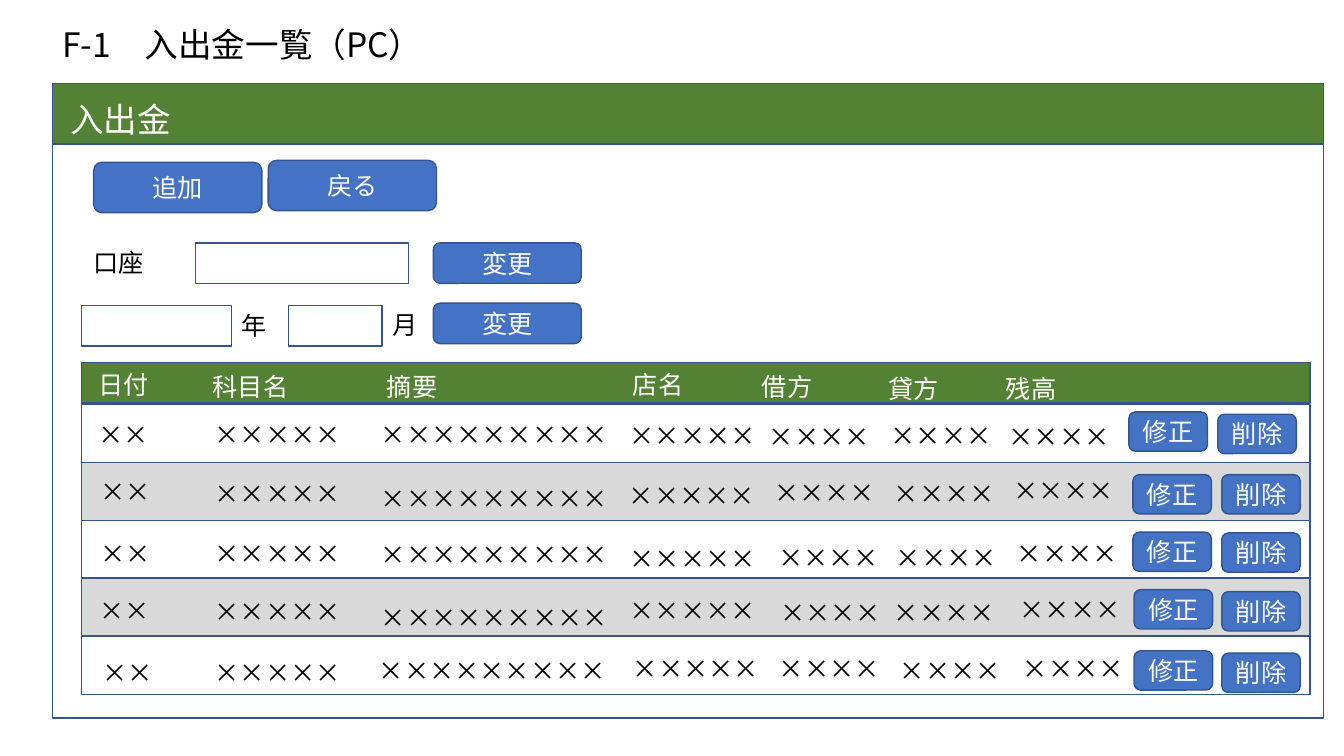
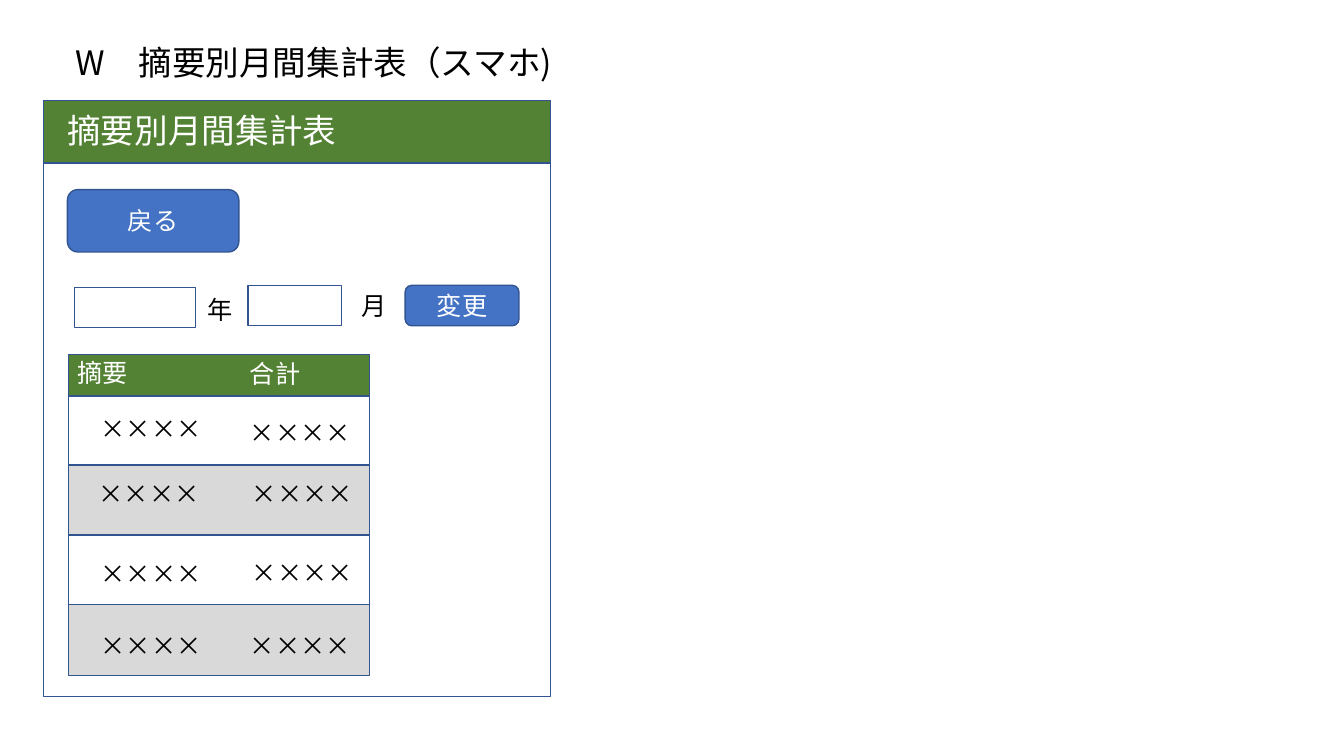
from collections import namedtuple
from lxml.etree import SubElement
from pptx import Presentation
from pptx.dml.color import RGBColor
from pptx.enum.shapes import MSO_SHAPE
from pptx.enum.text import MSO_ANCHOR, MSO_AUTO_SIZE, PP_ALIGN
from pptx.oxml.ns import qn
from pptx.util import Cm, Pt

FONT = "Noto Sans CJK JP"
GREEN, BLUE, GREY = "548235", "4472C4", "D9D9D9"
EDGE, BLACK, WHITE = "325491", "000000", "FFFFFF"
TITLE_SIZE, BODY_SIZE = 24, 18
LINE_HEIGHT, TITLE_HEIGHT = 1.02, 1.28

Box = namedtuple("Box", "left top width height")
Column = namedtuple("Column", "heading heading_at mark width places")
Grid = namedtuple("Grid", "head first pitch row heading_width")


def color(value):
    return RGBColor.from_string(value)


def inside(box, left, top, width, height=LINE_HEIGHT):
    return Box(box.left + left, box.top + top, width, height)


def lengths(box):
    return [Cm(round(value, 2)) for value in box]


def write(frame, words, size, ink):
    frame.word_wrap = True
    para = frame.paragraphs[0]
    span = para.add_run()
    span.text = words
    span.font.name = FONT
    span.font.size = Pt(size)
    span.font.color.rgb = color(ink)
    SubElement(span.font._element, qn("a:ea")).set("typeface", FONT)
    return para


def add_label(page, box, words, size=BODY_SIZE, ink=BLACK):
    frame = page.shapes.add_textbox(*lengths(box)).text_frame
    write(frame, words, size, ink)
    frame.auto_size = MSO_AUTO_SIZE.SHAPE_TO_FIT_TEXT


def add_panel(page, box, fill=None, kind=MSO_SHAPE.RECTANGLE):
    panel = page.shapes.add_shape(kind, *lengths(box))
    panel.shadow.inherit = False
    if fill:
        panel.fill.solid()
        panel.fill.fore_color.rgb = color(fill)
    else:
        panel.fill.background()
    panel.line.color.rgb = color(EDGE)
    panel.line.width = Pt(1)
    return panel


def add_button(page, box, words):
    button = add_panel(page, box, BLUE, MSO_SHAPE.ROUNDED_RECTANGLE)
    button.text_frame.vertical_anchor = MSO_ANCHOR.MIDDLE
    para = write(button.text_frame, words, BODY_SIZE, WHITE)
    para.alignment = PP_ALIGN.CENTER


def add_title(page, box, words):
    add_label(page, box, words, TITLE_SIZE)


def add_window(page, box, band_height, heading, heading_box):
    add_panel(page, box)
    add_panel(page, box._replace(height=band_height), GREEN)
    add_label(page, inside(box, *heading_box), heading, TITLE_SIZE, WHITE)


def add_list(page, box, grid, count, columns, buttons=()):
    add_panel(page, box._replace(height=grid.head), GREEN)
    rows = [inside(box, 0, grid.first + index * grid.pitch, box.width, grid.row)
            for index in range(count)]
    for index, row in enumerate(rows):
        add_panel(page, row, GREY if index % 2 else None)
    for column in columns:
        add_label(page, inside(box, *column.heading_at, grid.heading_width),
                  column.heading, ink=WHITE)
        for row, place in zip(rows, column.places):
            add_label(page, inside(row, *place, column.width), column.mark)
    for words, places in buttons:
        for row, place in zip(rows, places):
            add_button(page, inside(row, *place, 1.98, 0.99), words)


def add_account_filter(page, box):
    add_label(page, inside(box, 0.05, 0, 2.82), "口座")
    add_panel(page, inside(box, 2.87, 0, 5.36))
    add_button(page, inside(box, 8.86, 0, 3.73), "変更")


def add_month_filter(page, box, year, year_mark, month, month_mark, change):
    add_panel(page, inside(box, *year))
    add_label(page, inside(box, *year_mark), "年")
    add_panel(page, inside(box, *month))
    add_label(page, inside(box, *month_mark), "月")
    add_button(page, inside(box, *change), "変更")


def build_ledger(page):
    add_title(page, Box(1.32, 0.48, 20.19, TITLE_HEIGHT), "F-1　入出金一覧（PC）")
    window = Box(1.32, 2.11, 32.03, 15.98)
    add_window(page, window, 1.52, "入出金", (0.2, 0.25, 6.45, TITLE_HEIGHT))
    add_button(page, inside(window, 1.04, 1.98, 4.24, 1.27), "追加")
    add_button(page, inside(window, 5.44, 1.93, 4.24, 1.27), "戻る")
    add_account_filter(page, inside(window, 0.74, 4.01, 12.6))
    add_month_filter(page, inside(window, 0.74, 5.56, 12.6),
                     (0, 0.03, 3.78), (3.78, 0.03, 1.42), (5.21, 0.03, 2.36),
                     (7.57, 0, 1.42), (8.86, -0.03, 3.73))
    columns = [
        Column("日付", (0.18, 0.03), "×" * 2, 3.76,
               [(0.18, 0.25), (0.23, 0.23), (0.23, 0.32), (0.2, 0.31), (0.28, 0.4)]),
        Column("科目名", (3.05, 0.08), "×" * 5, 3.76,
               [(3.1, 0.25), (3.1, 0.28), (3.1, 0.32), (3.1, 0.34), (3.1, 0.4)]),
        Column("摘要", (7.44, 0.08), "×" * 9, 9.55,
               [(7.29, 0.25), (7.29, 0.41), (7.29, 0.35), (7.29, 0.49), (7.24, 0.37)]),
        Column("店名", (13.64, 0.03), "×" * 5, 3.76,
               [(13.56, 0.27), (13.54, 0.33), (13.56, 0.45), (13.56, 0.31), (13.64, 0.3)]),
        Column("借方", (16.89, 0.1), "×" * 4, 3.3,
               [(17.07, 0.3), (17.2, 0.26), (17.3, 0.42), (17.35, 0.36), (17.32, 0.32)]),
        Column("貸方", (20.07, 0.15), "×" * 4, 3.76,
               [(20.14, 0.27), (20.22, 0.28), (20.27, 0.42), (20.22, 0.36), (20.37, 0.35)]),
        Column("残高", (23.04, 0.13), "×" * 4, 3.76,
               [(23.11, 0.3), (23.22, 0.21), (23.32, 0.32), (23.39, 0.29), (23.47, 0.3)]),
    ]
    buttons = [
        ("修正", [(26.39, 0.19), (26.49, 0.31), (26.49, 0.3), (26.52, 0.29), (26.52, 0.37)]),
        ("削除", [(28.63, 0.25), (28.73, 0.31), (28.73, 0.32), (28.73, 0.34), (28.73, 0.43)]),
    ]
    add_list(page, inside(window, 0.74, 7.03, 30.96, 8.36),
             Grid(1.02, 1.05, 1.46, 1.47, 3.3), 5, columns, buttons)


def build_summary(page):
    add_title(page, Box(1.65, 0.94, 13.03, TITLE_HEIGHT), "W　摘要別月間集計表（スマホ)")
    window = Box(1.09, 2.54, 12.78, 15.01)
    add_window(page, window, 1.57, "摘要別月間集計表", (0.36, 0.1, 7.77, TITLE_HEIGHT))
    add_button(page, inside(window, 0.61, 2.24, 4.32, 1.57), "戻る")
    add_month_filter(page, inside(window, 0.79, 4.65, 11.2),
                     (0, 0.05, 3.05), (3.1, 0.1, 1.47), (4.37, 0, 2.36),
                     (6.98, 0, 1.09), (8.33, 0, 2.87))
    columns = [
        Column("摘要", (-0.03, -0.05), "×" * 4, 4.09,
               [(0.56, 0.33), (0.51, 0.22), (0.56, 0.46), (0.56, 0.53)]),
        Column("合計", (4.32, -0.03), "×" * 4, 3.25,
               [(4.32, 0.43), (4.37, 0.22), (4.37, 0.44), (4.32, 0.53)]),
    ]
    add_list(page, inside(window, 0.64, 6.4, 7.59, 8.08),
             Grid(1.04, 1.02, 1.76, 1.78, 2.57), 4, columns)


deck = Presentation()
deck.slide_width, deck.slide_height = Cm(33.87), Cm(19.05)
for build in (build_ledger, build_summary):
    build(deck.slides.add_slide(deck.slide_layouts[6]))
deck.save("out.pptx")
